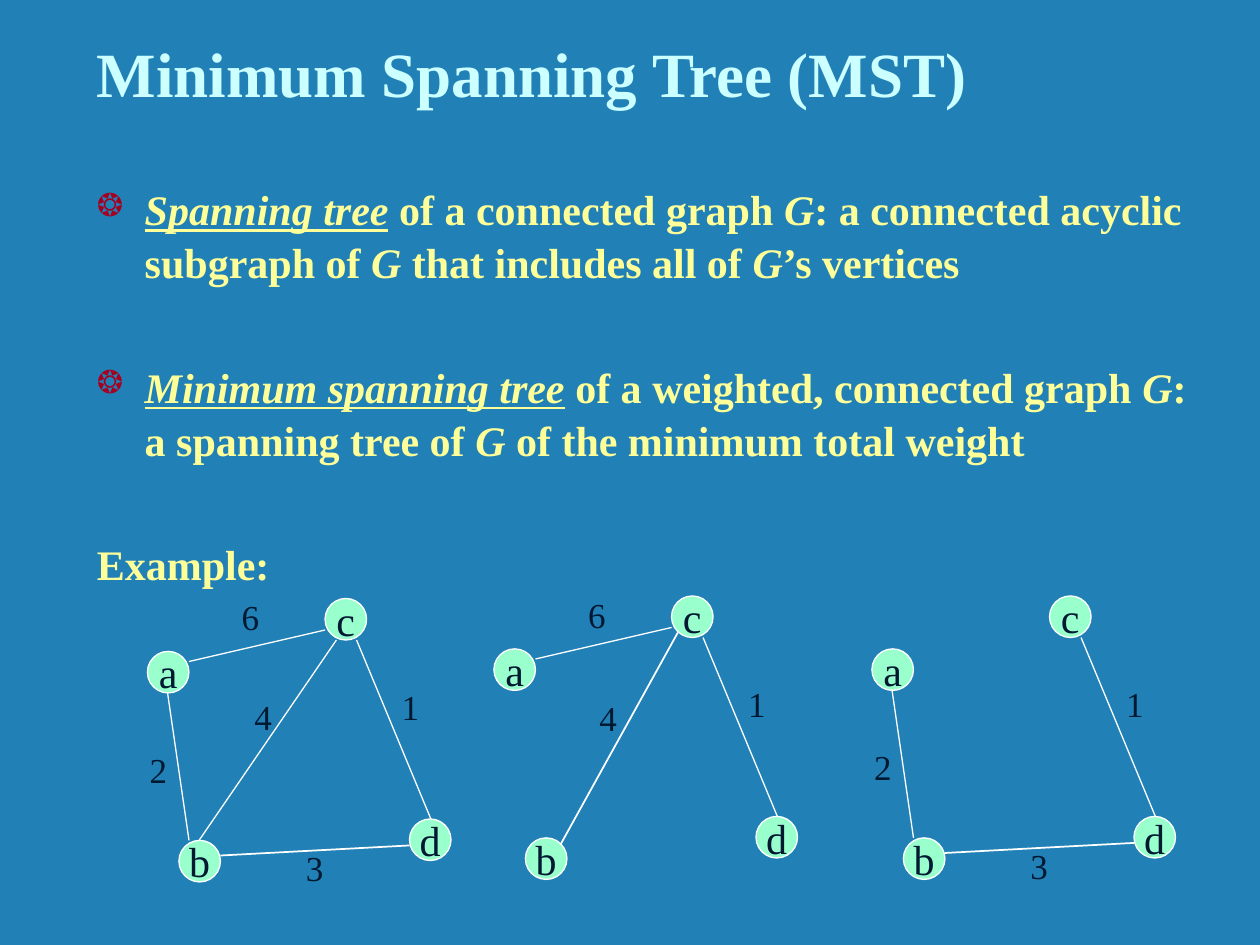
from lxml import etree
from pptx import Presentation
from pptx.dml.color import RGBColor
from pptx.enum.shapes import MSO_CONNECTOR, MSO_SHAPE
from pptx.enum.text import MSO_ANCHOR, MSO_AUTO_SIZE, PP_ALIGN
from pptx.oxml import parse_xml
from pptx.oxml.ns import nsdecls, qn
from pptx.util import Inches, Pt

BLUE = RGBColor(0x21, 0x81, 0xB7)
PALE_CYAN = RGBColor(0xCC, 0xFF, 0xFF)
YELLOW = RGBColor(0xFF, 0xFF, 0x99)
MINT = RGBColor(0x99, 0xFF, 0xCC)
NAVY = RGBColor(0x00, 0x19, 0x32)
WHITE = RGBColor(0xFF, 0xFF, 0xFF)
BULLET_RED = "A50021"
FONT = "Times New Roman"


def style(run, size, color, bold=False):
    run.font.name = FONT
    run.font.size = Pt(size)
    run.font.color.rgb = color
    run.font.bold = bold


prs = Presentation()
prs.slide_width, prs.slide_height = Inches(10), Inches(7.5)
slide = prs.slides.add_slide(prs.slide_layouts[6])
slide.background.fill.solid()
slide.background.fill.fore_color.rgb = BLUE

title = slide.shapes.add_textbox(Inches(0.67), Inches(0.17), Inches(9.17), Inches(0.75)).text_frame
title.word_wrap = True
title.vertical_anchor = MSO_ANCHOR.BOTTOM
title.text = "Minimum Spanning Tree (MST)"
style(title.paragraphs[0].runs[0], 36, PALE_CYAN, bold=True)

# Definitions: (text, look) with t = underlined term, i = italic, "" = plain
definitions = [
    [("Spanning tree", "t"), (" of a connected graph ", ""), ("G", "i"),
     (": a connected acyclic subgraph of ", ""), ("G ", "i"),
     ("that includes all of ", ""), ("G", "i"), ("’s vertices", "")],
    [("Minimum spanning tree", "t"), (" of a weighted, connected graph ", ""), ("G", "i"),
     (": a spanning tree of ", ""), ("G", "i"), (" of the minimum total weight", "")],
    [("Example:", "")],
]
body = slide.shapes.add_textbox(Inches(0.67), Inches(1.39), Inches(9.08), Inches(5.36)).text_frame
body.word_wrap = True
for number, pieces in enumerate(definitions):
    para = body.add_paragraph() if number else body.paragraphs[0]
    para.line_spacing = 1.05
    para.space_before = Pt(41 if number else 0)
    for text, look in pieces:
        run = para.add_run()
        run.text = text
        style(run, 24, YELLOW, bold=True)
        run.font.italic = look != ""
        run.font.underline = look == "t"
    props = para._p.get_or_add_pPr()
    props.set("marL", str(Inches(0.38)))
    props.set("indent", str(-Inches(0.38)))
    if len(pieces) > 1:
        color = etree.SubElement(props, qn("a:buClr"))
        etree.SubElement(color, qn("a:srgbClr"), val=BULLET_RED)
        etree.SubElement(props, qn("a:buSzPct"), val="75000")
        etree.SubElement(props, qn("a:buChar"), char="❂")

# The full graph; the two spanning trees are shifted subsets of it
NODE_SIZE = 0.33
nodes = {"c": (2.58, 4.75), "d": (3.25, 6.5), "b": (1.42, 6.67), "a": (1.17, 5.17)}
# edge: start, end, line width, weight, place of the weight
edges = {
    "ac": ((1.5, 5.25), (2.58, 5), 0.75, "6", (1.82, 4.68)),
    "ab": ((1.5, 6.67), (1.33, 5.5), 0.75, "2", (1.09, 5.89)),
    "bc": ((1.58, 6.67), (2.67, 5.08), 0.75, "4", (1.92, 5.47)),
    "bd": ((1.75, 6.79), (3.25, 6.71), 1, "3", (2.33, 6.67)),
    "cd": ((3.42, 6.5), (2.83, 5.08), 0.75, "1", (3.09, 5.39)),
    "bc steep": ((2.63, 5.04), (1.7, 6.72), 1, "4", (1.91, 5.5)),
}
graphs = [
    (0, 0, ["ac", "ab", "bc", "bd", "cd"]),
    (5.75, -0.02, ["ab", "bd", "cd"]),
    (2.75, -0.02, ["ac", "bc steep", "cd"]),
]
for dx, dy, edge_names in graphs:
    graph = slide.shapes.add_group_shape().shapes

    for letter, (x, y) in nodes.items():
        node = graph.add_shape(MSO_SHAPE.OVAL, Inches(x + dx), Inches(y + dy),
                               Inches(NODE_SIZE), Inches(NODE_SIZE))
        node.shadow.inherit = False
        node.fill.solid()
        node.fill.fore_color.rgb = MINT
        node.line.color.rgb = WHITE
        node.line.width = Pt(0.75)
        frame = node.text_frame
        frame.word_wrap = False
        frame.vertical_anchor = MSO_ANCHOR.MIDDLE
        frame.text = letter
        frame.paragraphs[0].alignment = PP_ALIGN.CENTER
        style(frame.paragraphs[0].runs[0], 24, NAVY)

    for name in edge_names:
        (x1, y1), (x2, y2), width, weight, (x, y) = edges[name]
        edge = graph.add_connector(MSO_CONNECTOR.STRAIGHT, Inches(x1 + dx), Inches(y1 + dy),
                                   Inches(x2 + dx), Inches(y2 + dy))
        edge.line.color.rgb = WHITE
        edge.line.width = Pt(width)
        edge._element.spPr.append(parse_xml(f"<a:effectLst {nsdecls('a')}/>"))

        label = graph.add_textbox(Inches(x + dx), Inches(y + dy), Inches(0.34), Inches(0.44)).text_frame
        label.word_wrap = False
        label.auto_size = MSO_AUTO_SIZE.SHAPE_TO_FIT_TEXT
        label.text = weight
        style(label.paragraphs[0].runs[0], 20, NAVY)

prs.save("out.pptx")
